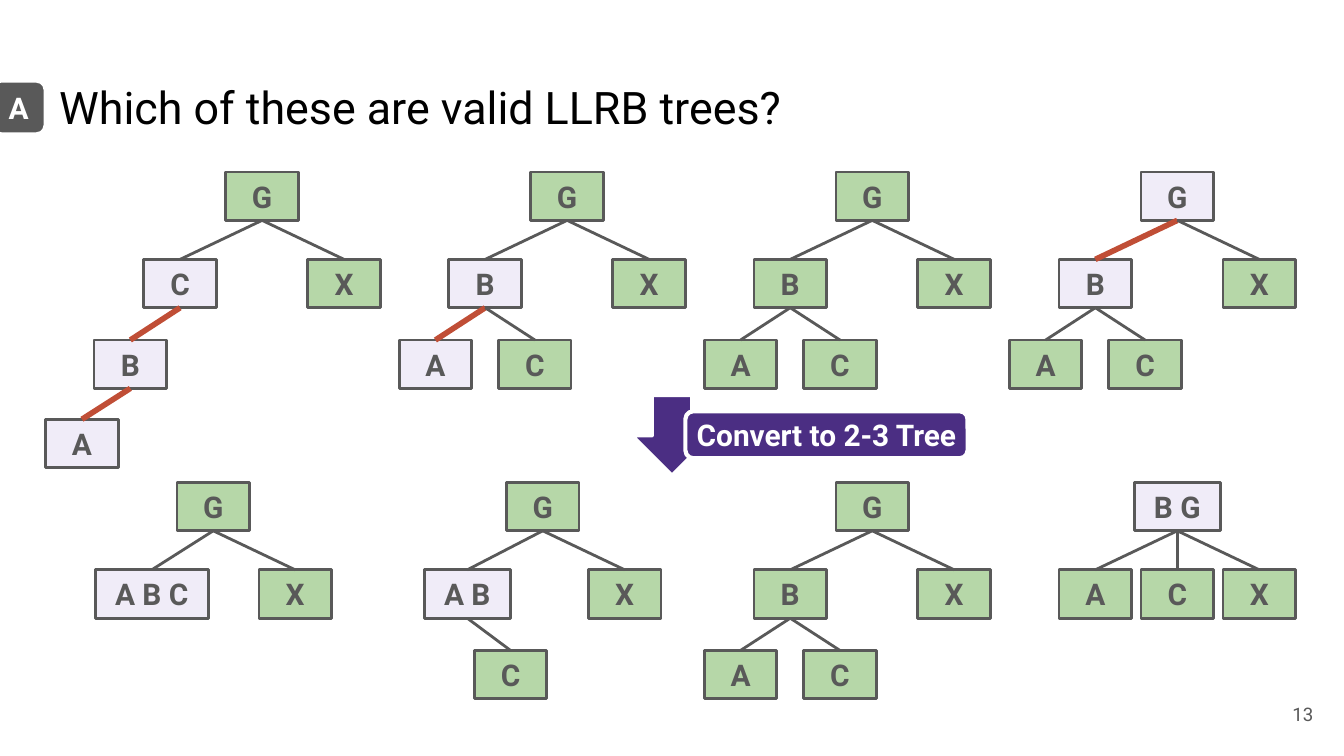
"""Build a slide comparing candidate LLRB trees with their 2-3 tree conversions."""
from dataclasses import dataclass

import pptx
import pptx.dml.color
import pptx.enum.shapes
import pptx.enum.text
import pptx.oxml
import pptx.oxml.ns
import pptx.util

SHAPE = pptx.enum.shapes.MSO_SHAPE
ALIGN = pptx.enum.text.PP_ALIGN
ANCHOR = pptx.enum.text.MSO_ANCHOR
Inches = pptx.util.Inches


@dataclass(frozen=True)
class Theme:
    font: str = "Roboto"
    ink: str = "595959"
    title: str = "000000"
    white: str = "FFFFFF"
    green: str = "B6D7A8"
    pale: str = "F0ECF8"
    red: str = "C04E36"
    purple: str = "4B2E83"
    title_size: float = 24
    label_size: float = 16
    number_size: float = 10
    thin: float = 1.5
    outline: float = 2.25
    thick: float = 3


@dataclass(frozen=True)
class Grid:
    left: float = 1.95
    column: float = 2.27
    top: float = 1.28
    band: float = 2.31
    levels: tuple[float, ...] = (0, 0.65, 1.25, 1.84)
    spreads: tuple[float, ...] = (0, 0.61, 0.37, 0.36)
    box_height: float = 0.36

    def center(self, column: float) -> float:
        return self.left + column * self.column

    def y(self, band: int, level: int) -> float:
        return self.top + band * self.band + self.levels[level]


@dataclass(frozen=True)
class Node:
    label: str
    side: float = 0
    pale: bool = False
    children: tuple["Node", ...] = ()


@dataclass(frozen=True)
class Tree:
    column: float
    band: int
    root: Node


THEME = Theme()
GRID = Grid()
BOX_WIDTHS = {1: 0.54, 3: 0.64, 5: 0.84}

X = Node("X", 1)
LEAF_A = Node("A", -1)
LEAF_C = Node("C", 1)
RED_A = Node("A", -1, True)
CHAIN = Node("C", -1, True, (Node("B", -1, True, (RED_A,)),))
BLACK_TREE = Node("G", children=(Node("B", -1, False, (LEAF_A, LEAF_C)), X))

TREES = (
    Tree(0, 0, Node("G", children=(CHAIN, X))),
    Tree(1, 0, Node("G", children=(Node("B", -1, True, (RED_A, LEAF_C)), X))),
    Tree(2, 0, BLACK_TREE),
    Tree(3, 0, Node("G", 0, True, (Node("B", -1, True, (LEAF_A, LEAF_C)), X))),
    Tree(-0.16, 1, Node("G", children=(Node("A B C", -0.75, True), X))),
    Tree(0.92, 1, Node("G", children=(Node("A B", -0.92, True, (Node("C", 0.87),)), X))),
    Tree(2, 1, BLACK_TREE),
    Tree(3, 1, Node("B G", 0, True, (LEAF_A, Node("C"), X))),
)


def rgb(color: str) -> pptx.dml.color.RGBColor:
    return pptx.dml.color.RGBColor.from_string(color)


def set_text(sp, text: str, size: float, color: str, align, anchor, bold: bool = False) -> None:
    tf = sp.text_frame
    tf.text = text
    tf.word_wrap = True
    tf.auto_size = pptx.enum.text.MSO_AUTO_SIZE.NONE
    tf.vertical_anchor = anchor
    tf.margin_left = tf.margin_right = tf.margin_top = tf.margin_bottom = Inches(0.1)
    p = tf.paragraphs[0]
    p.alignment = align
    for r in p.runs:
        r.font.name = THEME.font
        r.font.size = pptx.util.Pt(size)
        r.font.bold = bold
        r.font.color.rgb = rgb(color)


def add_box(shapes, kind, x: float, y: float, w: float, h: float,
            fill: str, line: str, width: float, text: str = "", color: str = THEME.white):
    sp = shapes.add_shape(kind, Inches(x), Inches(y), Inches(w), Inches(h))
    sp.shadow.inherit = False
    sp.fill.solid()
    sp.fill.fore_color.rgb = rgb(fill)
    sp.line.color.rgb = rgb(line)
    sp.line.width = pptx.util.Pt(width)
    if text:
        set_text(sp, text, THEME.label_size, color, ALIGN.CENTER, ANCHOR.MIDDLE, True)
        sp.text_frame.margin_left = sp.text_frame.margin_right = 0
    return sp


def add_edge(shapes, x1: float, y1: float, x2: float, y2: float, red: bool) -> None:
    cxn = shapes.add_connector(pptx.enum.shapes.MSO_CONNECTOR.STRAIGHT,
                               Inches(x1), Inches(y1), Inches(x2), Inches(y2))
    cxn.line.color.rgb = rgb(THEME.red if red else THEME.ink)
    cxn.line.width = pptx.util.Pt(THEME.thick if red else THEME.thin)
    sp_pr = cxn._element.spPr
    sp_pr.append(pptx.oxml.parse_xml(f'<a:effectLst {pptx.oxml.ns.nsdecls("a")}/>'))


def add_node(shapes, node: Node, x: float, band: int, level: int = 0) -> None:
    w = BOX_WIDTHS[len(node.label)]
    y = GRID.y(band, level)
    add_box(shapes, SHAPE.RECTANGLE, x - w / 2, y, w, GRID.box_height,
            THEME.pale if node.pale else THEME.green, THEME.ink, THEME.thin,
            node.label, THEME.ink)
    for child in node.children:
        child_x = x + child.side * GRID.spreads[level + 1]
        add_node(shapes, child, child_x, band, level + 1)
        add_edge(shapes, x, y + GRID.box_height, child_x, GRID.y(band, level + 1),
                 node.pale and child.pale)


def main() -> None:
    prs = pptx.Presentation()
    prs.slide_width = Inches(10)
    prs.slide_height = prs.slide_width * 9 // 16
    s = prs.slides.add_slide(prs.slide_layouts[5])

    title = s.shapes.title
    title.left, title.top = Inches(0.34), Inches(0.49)
    title.width, title.height = Inches(9.32), Inches(0.63)
    set_text(title, "Which of these are valid LLRB trees?", THEME.title_size,
             THEME.title, ALIGN.LEFT, ANCHOR.TOP)

    number = s.shapes.add_textbox(Inches(9.27), Inches(5.1), Inches(0.6), Inches(0.43))
    set_text(number, "13", THEME.number_size, THEME.ink, ALIGN.RIGHT, ANCHOR.MIDDLE)

    for tree in TREES:
        group = s.shapes.add_group_shape()
        add_node(group.shapes, tree.root, GRID.center(tree.column), tree.band)

    badge = add_box(s.shapes, SHAPE.ROUNDED_RECTANGLE, -0.06, 0.6, 0.4, 0.4,
                    THEME.ink, THEME.white, THEME.outline, "A")
    arrow = add_box(s.shapes, SHAPE.RIGHT_ARROW, 4.7, 2.94, 0.6, 0.6,
                    THEME.purple, THEME.white, THEME.outline)
    arrow.rotation = 90
    banner = add_box(s.shapes, SHAPE.ROUNDED_RECTANGLE, 5.1, 3.06, 2.1, 0.35,
                     THEME.purple, THEME.white, THEME.outline, "Convert to 2-3 Tree")
    for sp in (badge, banner):
        sp.adjustments[0] = 0.17

    prs.save("out.pptx")


if __name__ == "__main__":
    main()
